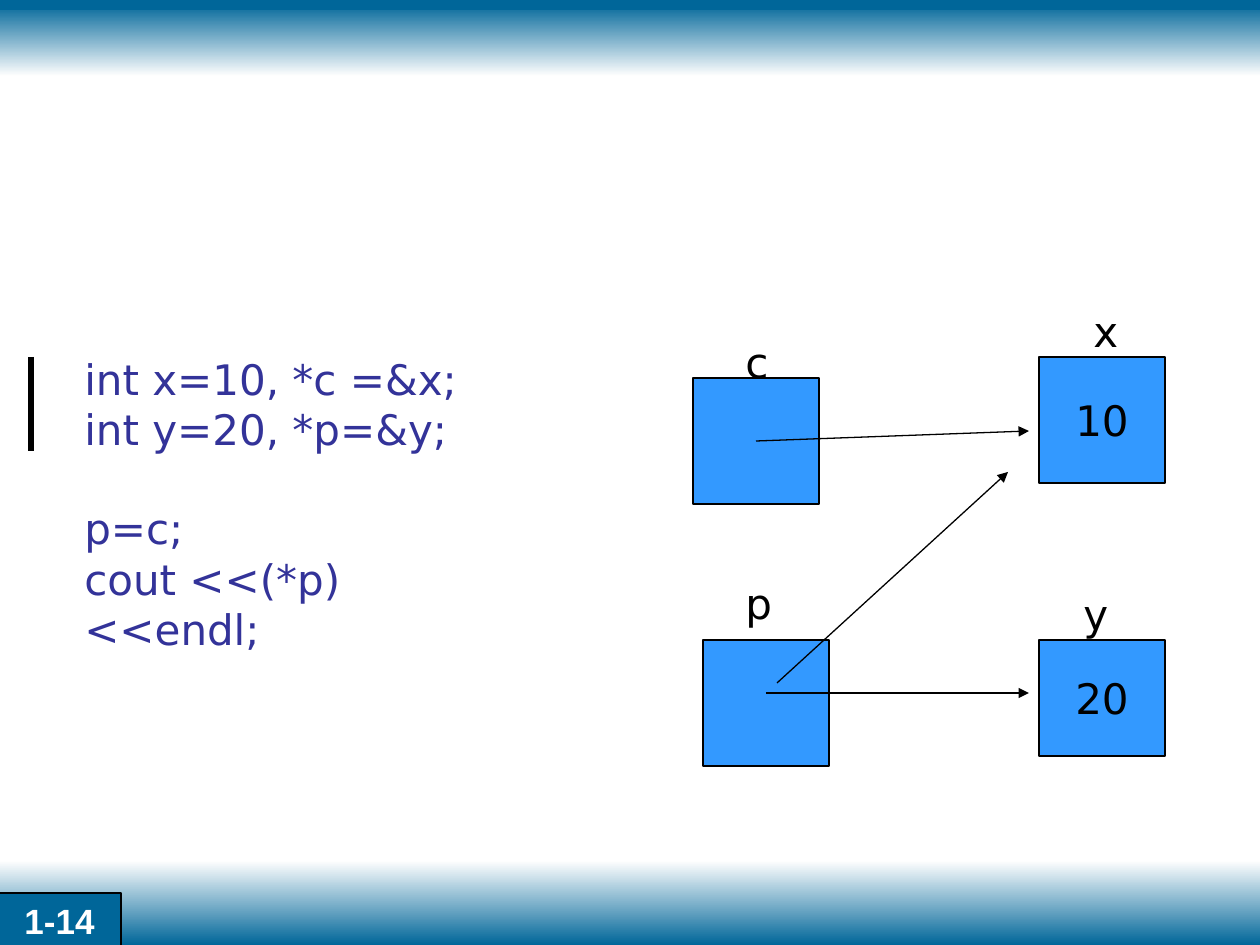
from pptx import Presentation
from pptx.dml.color import RGBColor
from pptx.enum.shapes import MSO_CONNECTOR, MSO_SHAPE
from pptx.enum.text import MSO_ANCHOR, PP_ALIGN
from pptx.oxml.ns import qn
from pptx.util import Pt
from lxml.etree import SubElement

PX = 914400 / 126
COLORS = {name: RGBColor.from_string(value) for name, value in {
    "teal": "006699", "pale": "FEFEFE", "cell": "3399FF",
    "code": "333399", "black": "000000", "white": "FFFFFF"}.items()}


def emu(*lengths):
    return [round(length * PX) for length in lengths]


def add_line(start, end, color, width, arrow=False):
    line = page.shapes.add_connector(MSO_CONNECTOR.STRAIGHT, *emu(*start, *end))
    line.line.color.rgb = COLORS[color]
    line.line.width = Pt(width)
    if arrow:
        SubElement(line.line._get_or_add_ln(), qn("a:tailEnd"), type="triangle")
    SubElement(line._element.spPr, qn("a:effectLst"))


deck = Presentation()
deck.slide_width, deck.slide_height = emu(1260, 945)
page = deck.slides.add_slide(deck.slide_layouts[6])

# Gradient bands at top and bottom
for top, height, shades in [(3, 73, ("teal", "pale")), (861, 84, ("pale", "teal"))]:
    band = page.shapes.add_shape(MSO_SHAPE.RECTANGLE, *emu(0, top, 1260, height))
    band.shadow.inherit = False
    band.line.fill.background()
    band.fill.gradient()
    band.fill.gradient_angle = 270
    for stop, shade, position in zip(band.fill.gradient_stops, shades, (0, 1)):
        stop.color.rgb = COLORS[shade]
        stop.position = position
add_line((0, 5), (1260, 5), "teal", 6)

# Page number and memory cells: left, top, width, height, text, fill, line width
boxes = [
    (-2, 893, 123, 56, "1-14", "teal", 1),
    (1039, 357, 126, 126, "10", "cell", 0.75),
    (1039, 640, 126, 116, "20", "cell", 0.75),
    (693, 378, 126, 126, "", "cell", 0.75),
    (703, 640, 126, 126, "", "cell", 0.75),
]
for left, top, width, height, text, fill, line_width in boxes:
    box = page.shapes.add_shape(MSO_SHAPE.RECTANGLE, *emu(left, top, width, height))
    box.shadow.inherit = False
    box.fill.solid()
    box.fill.fore_color.rgb = COLORS[fill]
    box.line.color.rgb = COLORS["black"]
    box.line.width = Pt(line_width)
    if text:
        is_number = fill == "teal"
        box.text_frame.vertical_anchor = MSO_ANCHOR.TOP if is_number else MSO_ANCHOR.MIDDLE
        para = box.text_frame.paragraphs[0]
        para.text = text
        para.alignment = PP_ALIGN.CENTER
        para.font.name = "Arial" if is_number else "DejaVu Sans"
        para.font.size = Pt(20 if is_number else 24)
        para.font.bold = is_number
        para.font.color.rgb = COLORS["white" if is_number else "black"]

# Variable names and the code listing
code = ["int x=10, *c =&x;", "int y=20, *p=&y;", "p=c;", "cout <<(*p) <<endl;"]
texts = [
    (1081, 299, 47, 63, ["x"], "black"),
    (1071, 582, 47, 63, ["y"], "black"),
    (733, 330, 46, 63, ["c"], "black"),
    (733, 571, 50, 63, ["p"], "black"),
    (72, 347, 401, 312, code, "code"),
]
for left, top, width, height, lines, color in texts:
    box = page.shapes.add_textbox(*emu(left, top, width, height))
    frame = box.text_frame
    frame.word_wrap = len(lines) > 1
    for index, text in enumerate(lines):
        para = frame.paragraphs[0] if index == 0 else frame.add_paragraph()
        para.text = text
        para.font.name = "DejaVu Sans"
        para.font.size = Pt(24)
        para.font.color.rgb = COLORS[color]
        if text == "p=c;":
            para.space_before = Pt(28)

# Pointer arrows
for start, end in [((756, 441), (1029, 431)),
                   ((766, 693), (1029, 693)),
                   ((777, 683), (1008, 472))]:
    add_line(start, end, "black", 0.75, arrow=True)

# Bar beside the declarations
add_line((31, 357), (31, 451), "black", 3)

deck.save("out.pptx")
